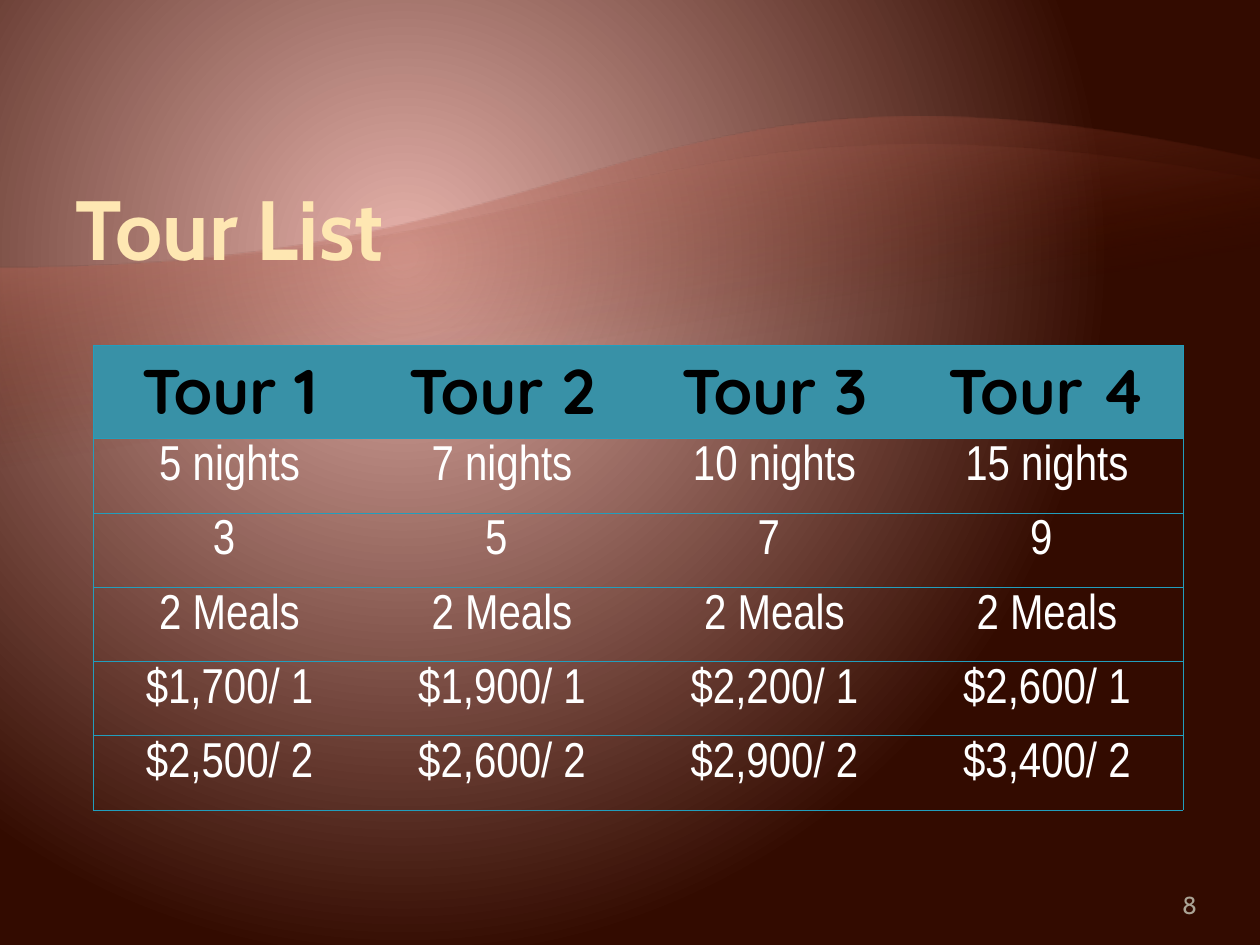
import pptx
import pptx.util
import pptx.dml.color
import pptx.enum.shapes
import pptx.enum.text
import pptx.oxml
import pptx.oxml.ns

Inches, Pt = pptx.util.Inches, pptx.util.Pt
PP_ALIGN, ANCHOR = pptx.enum.text.PP_ALIGN, pptx.enum.text.MSO_ANCHOR
TEAL = "229EBD"


def style(p, name, size, color, bold=False, align=PP_ALIGN.LEFT):
    p.alignment = align
    p.font.name, p.font.size, p.font.bold = name, Pt(size), bold
    p.font.color.rgb = pptx.dml.color.RGBColor.from_string(color)


def gradient(stops, direction):
    """Gradient fill from (position %, colour, opacity %) stops."""
    gs = "".join(
        f'<a:gs pos="{pos * 1000}"><a:srgbClr val="{color}">'
        f'<a:alpha val="{alpha * 1000}"/></a:srgbClr></a:gs>'
        for pos, color, alpha in stops)
    return pptx.oxml.parse_xml(
        f'<a:gradFill {pptx.oxml.ns.nsdecls("a")} rotWithShape="1">'
        f'<a:gsLst>{gs}</a:gsLst>{direction}</a:gradFill>')


prs = pptx.Presentation()
prs.slide_width, prs.slide_height = Inches(10), Inches(7.5)
s = prs.slides.add_slide(prs.slide_layouts[6])

# Background: radial glow
s.background.fill.solid()
bg = s.background.fill._xPr
bg.replace(bg[0], gradient(
    [(0, "E7AFA8", 100), (1, "E5B1AA", 100), (90, "330B00", 100)],
    '<a:path path="circle"><a:fillToRect l="100000" t="100000" '
    'r="135000" b="145000"/></a:path>'))

# Two translucent waves
for top, height, color, alpha in [(0.84, 6.49, "EB9084", 55),
                                  (1.08, 5.28, "F0B4AC", 30)]:
    sp = s.shapes.add_shape(pptx.enum.shapes.MSO_SHAPE.FLOWCHART_DOCUMENT,
                            0, Inches(top), prs.slide_width, Inches(height))
    sp.rotation = 180
    sp.shadow.inherit = False
    sp.line.fill.background()
    sp.fill.solid()
    spPr = sp.fill._xPr
    spPr.replace(spPr.find(pptx.oxml.ns.qn("a:solidFill")), gradient(
        [(65, "6B1700", 0), (100, color, alpha)],
        '<a:lin ang="4800000" scaled="0"/>'))

# Title and slide number
for text, box, right, font in [
        ("Tour List", (0.5, 1, 9, 1.25), 0.1,
         ("Cabin", 48, "FEE7B2", True)),
        ("8", (8.92, 6.95, 0.58, 0.4), 0,
         ("Cabin", 14, "ABA495", False, PP_ALIGN.RIGHT))]:
    tf = s.shapes.add_textbox(*map(Inches, box)).text_frame
    tf.word_wrap = True
    tf.vertical_anchor = ANCHOR.BOTTOM
    tf.margin_right = Inches(right)
    tf.text = text
    style(tf.paragraphs[0], *font)

# Tour table
rows = [
    ["Tour 1", "Tour 2", "Tour 3", "Tour 4"],
    ["5 nights", "7 nights", "10 nights", "15 nights"],
    ["3 ", "5 ", "7 ", "9 "],
    ["2 Meals"] * 4,
    ["$1,700/ 1", "$1,900/ 1", "$2,200/ 1", "$2,600/ 1"],
    ["$2,500/ 2", "$2,600/ 2", "$2,900/ 2", "$3,400/ 2"],
]
table = s.shapes.add_table(len(rows), 4, Inches(0.74), Inches(2.74),
                           Inches(8.65), Inches(3.7)).table
table.horz_banding = False
for r, row in enumerate(rows):
    table.rows[r].height = Inches(0.59 if r else 0.74)
    for c, text in enumerate(row):
        cell = table.cell(r, c)
        cell.margin_left = cell.margin_right = Inches(0.07)
        cell.text = text
        p = cell.text_frame.paragraphs[0]
        # Borders: outer frame and row lines only
        tcPr = cell._tc.get_or_add_tcPr()
        for side, shown in [("L", c == 0), ("R", c == 3),
                            ("T", True), ("B", True)]:
            paint = (f'<a:solidFill><a:srgbClr val="{TEAL}"/></a:solidFill>'
                     if shown else "<a:noFill/>")
            tcPr.append(pptx.oxml.parse_xml(
                f'<a:ln{side} {pptx.oxml.ns.nsdecls("a")} w="4445">'
                f'{paint}</a:ln{side}>'))
        if r == 0:
            cell.fill.solid()
            cell.fill.fore_color.rgb = pptx.dml.color.RGBColor.from_string("3891A7")
            style(p, "Quicksand", 36, "000000", True, PP_ALIGN.CENTER)
        else:
            cell.fill.background()
            style(p, "Arial Narrow", 28, "FFFFFF", False, PP_ALIGN.CENTER)

prs.save("out.pptx")
